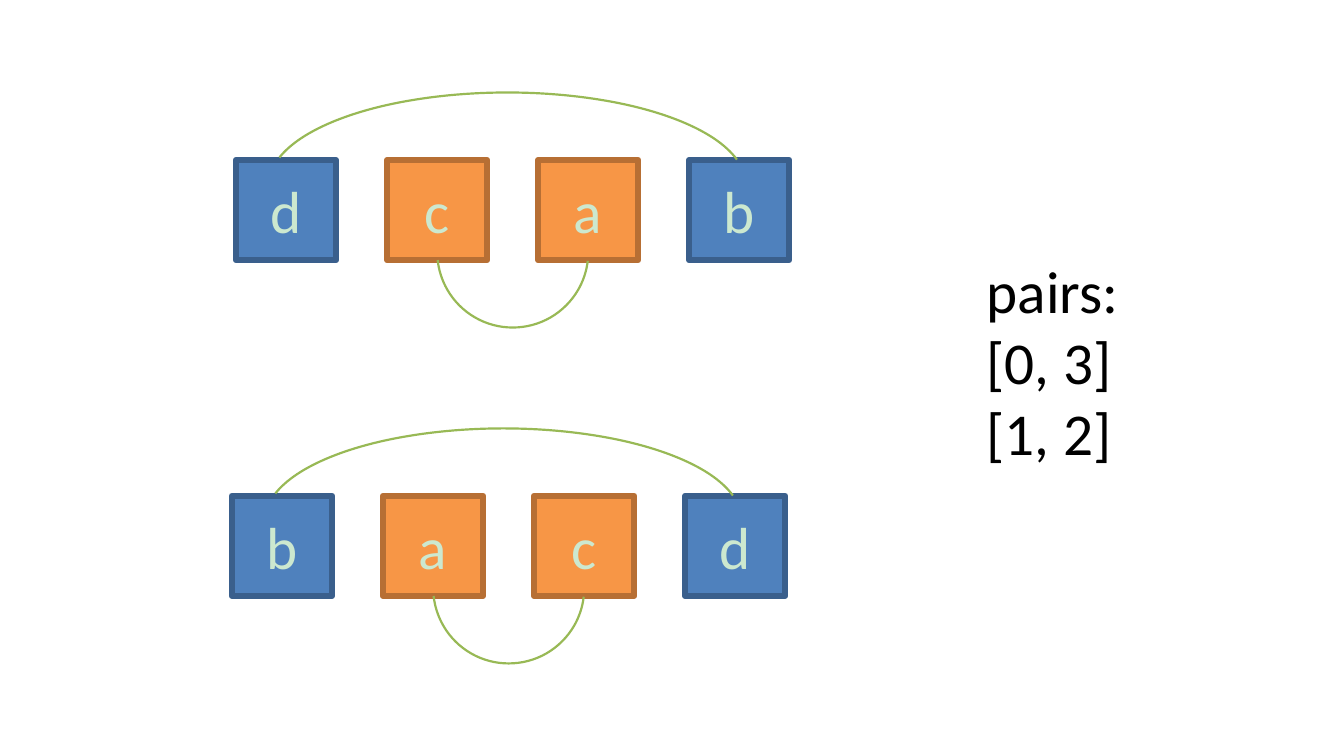
import pptx
import pptx.dml.color
import pptx.enum.shapes
import pptx.enum.text
import pptx.util

COLORS = {
    "background": "FFFFFF",
    "letter": "CCE8CF",
    "text": "000000",
    "outer": "4F81BD",
    "outer_border": "3A5F8C",
    "inner": "F79646",
    "inner_border": "B76F34",
    "arc": "98B955",
}
COLUMNS, ROWS = 62.99, 35.43
SQUARE_SIZE, SQUARE_PITCH = 4.7, 7.08
ARC_ANGLES = (112.016, 212.324)
ROLES = ("outer", "inner", "inner", "outer")
WORDS = (("dcab", 11.06, 7.5), ("bacd", 10.87, 23.24))


def color(name):
    return pptx.dml.color.RGBColor.from_string(COLORS[name])


def write_text(shape, text, *, size=20, font="Calibri", fill="text", align="LEFT", anchor="TOP"):
    frame = shape.text_frame
    frame.word_wrap = True
    frame.vertical_anchor = getattr(pptx.enum.text.MSO_ANCHOR, anchor)
    frame.text = text
    for paragraph in frame.paragraphs:
        paragraph.alignment = getattr(pptx.enum.text.PP_ALIGN, align)
        for run in paragraph.runs:
            run.font.size = pptx.util.Pt(size)
            run.font.name = font
            run.font.color.rgb = color(fill)


class PairDiagram:
    def __init__(self, presentation):
        self.slide = presentation.slides.add_slide(presentation.slide_layouts[6])
        self.column = presentation.slide_width / COLUMNS
        self.row = presentation.slide_height / ROWS
        background = self.slide.background.fill
        background.solid()
        background.fore_color.rgb = color("background")

    def box(self, left, top, width, height):
        return (
            round(left * self.column),
            round(top * self.row),
            round(width * self.column),
            round(height * self.row),
        )

    def outline(self, kind, box, line, line_width):
        shape = self.slide.shapes.add_shape(
            getattr(pptx.enum.shapes.MSO_SHAPE, kind), *self.box(*box)
        )
        shape.shadow.inherit = False
        shape.line.color.rgb = color(line)
        shape.line.width = pptx.util.Pt(line_width)
        return shape

    def square(self, letter, role, left, top):
        box = (left, top, SQUARE_SIZE, SQUARE_SIZE)
        shape = self.outline("RECTANGLE", box, f"{role}_border", 2)
        shape.fill.solid()
        shape.fill.fore_color.rgb = color(role)
        write_text(shape, letter, fill="letter", align="CENTER", anchor="MIDDLE")

    def arc(self, box, rotation=0):
        shape = self.outline("ARC", box, "arc", 0.75)
        shape.fill.background()
        shape.rotation = rotation
        for index, angle in enumerate(ARC_ANGLES):
            shape.adjustments[index] = angle

    def word(self, letters, left, top):
        for index, (letter, role) in enumerate(zip(letters, ROLES)):
            self.square(letter, role, left + index * SQUARE_PITCH, top)
        self.arc((left + 1.55, top - 3.16, 22.34, 8.6))
        self.arc((left + 9.43, top + 0.77, 7.08, 7.08), rotation=180)

    def label(self, text, *box):
        shape = self.slide.shapes.add_textbox(*self.box(*box))
        write_text(shape, text)
        shape.text_frame.auto_size = pptx.enum.text.MSO_AUTO_SIZE.SHAPE_TO_FIT_TEXT


def main():
    presentation = pptx.Presentation()
    presentation.slide_width = pptx.util.Cm(16)
    presentation.slide_height = pptx.util.Cm(9)
    diagram = PairDiagram(presentation)
    for letters, left, top in WORDS:
        diagram.word(letters, left, top)
    diagram.label("pairs:\n[0, 3]\n[1, 2]", 45.26, 11.42, 13.4, 11.1)
    presentation.save("out.pptx")


if __name__ == "__main__":
    main()
